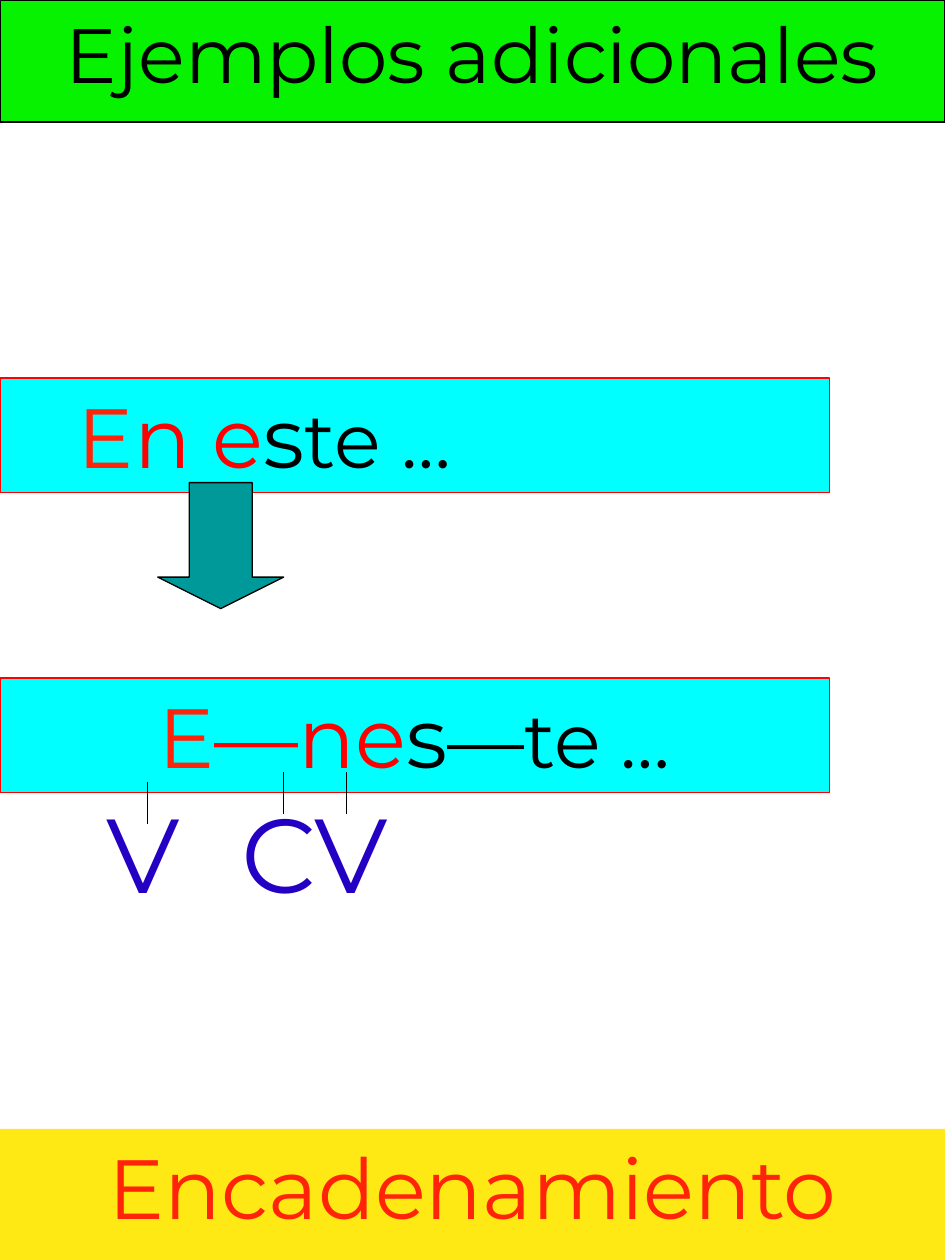
import pptx
import pptx.util
import pptx.dml.color
import pptx.enum.shapes
import pptx.enum.text
import pptx.oxml.ns
from lxml import etree

Cm = pptx.util.Cm
Pt = pptx.util.Pt
Kind = pptx.enum.shapes.MSO_SHAPE
Align = pptx.enum.text.PP_ALIGN

HUES = {
    "green": "06F200", "cyan": "00FFFF", "yellow": "FFE915", "teal": "009999",
    "orange": "FF2409", "red": "FF0000", "blue": "2400C4", "black": "000000",
}
WIDE = 19.05


def paint(shape, fill, line):
    shape.fill.solid()
    shape.fill.fore_color.rgb = pptx.dml.color.RGBColor.from_string(HUES[fill])
    if line:
        shape.line.color.rgb = pptx.dml.color.RGBColor.from_string(HUES[line])
        shape.line.width = Pt(0.75)
    else:
        shape.line.fill.background()


def write(shape, parts, align=Align.CENTER, wrap=True):
    frame = shape.text_frame
    frame.word_wrap = wrap
    frame.auto_size = pptx.enum.text.MSO_AUTO_SIZE.NONE
    frame.vertical_anchor = pptx.enum.text.MSO_ANCHOR.TOP
    para = frame.paragraphs[0]
    para.alignment = align
    for text, size, hue in parts:
        run = para.add_run()
        run.text = text
        run.font.name = "Montserrat"
        run.font.size = Pt(size)
        run.font.color.rgb = pptx.dml.color.RGBColor.from_string(HUES[hue])


deck = pptx.Presentation()
deck.slide_width = Cm(WIDE)
deck.slide_height = Cm(25.4)
slide = deck.slides.add_slide(deck.slide_layouts[5])
shapes = slide.shapes

# Title band
title = shapes.title
title.left, title.top, title.width, title.height = Cm(0), Cm(0), Cm(WIDE), Cm(2.46)
paint(title, "green", "black")
write(title, [("Ejemplos adicionales", 44, "black")])

# Phrase before and after linking, and the bottom band
before = [("E", 48, "orange"), ("n e", 48, "red"), ("s", 48, "black"), ("te …", 44, "black")]
after = [("E", 48, "orange"), ("—ne", 48, "red"), ("s", 48, "black"), ("—te …", 44, "black")]
bands = [
    (7.62, 16.72, 2.31, "cyan", "red", before, Align.LEFT, 1.57),
    (13.67, 16.72, 2.31, "cyan", "red", after, Align.CENTER, 0.25),
    (22.76, WIDE, 2.64, "yellow", None, [("Encadenamiento", 48, "orange")], Align.CENTER, 0.25),
]
for top, width, height, fill, line, parts, align, inset in bands:
    band = shapes.add_shape(Kind.RECTANGLE, Cm(0), Cm(top), Cm(width), Cm(height))
    band.shadow.inherit = False
    paint(band, fill, line)
    band.text_frame.margin_left = Cm(inset)
    write(band, parts, align)

# Arrow from one phrase to the other
arrow = shapes.add_shape(Kind.DOWN_ARROW, Cm(3.18), Cm(9.73), Cm(2.54), Cm(2.54))
arrow.shadow.inherit = False
arrow.adjustments[0], arrow.adjustments[1] = 0.5, 0.25
paint(arrow, "teal", "black")

# Vowel and consonant marks, each with its tick
marks = [("V", 1.9, 2.97, 15.77), ("C", 4.62, 5.72, 15.56), ("V", 6.1, 6.99, 15.56)]
for letter, left, mid, top in marks:
    label = shapes.add_textbox(Cm(left), Cm(15.77), Cm(2.18), Cm(2.82))
    write(label, [(letter, 60, "blue")], Align.LEFT, False)
    tick = shapes.add_connector(
        pptx.enum.shapes.MSO_CONNECTOR.STRAIGHT, Cm(mid), Cm(top), Cm(mid), Cm(top + 0.85))
    tick.line.color.rgb = pptx.dml.color.RGBColor.from_string(HUES["black"])
    tick.line.width = Pt(0.75)
    etree.SubElement(tick._element.spPr, pptx.oxml.ns.qn("a:effectLst"))

deck.save("out.pptx")
